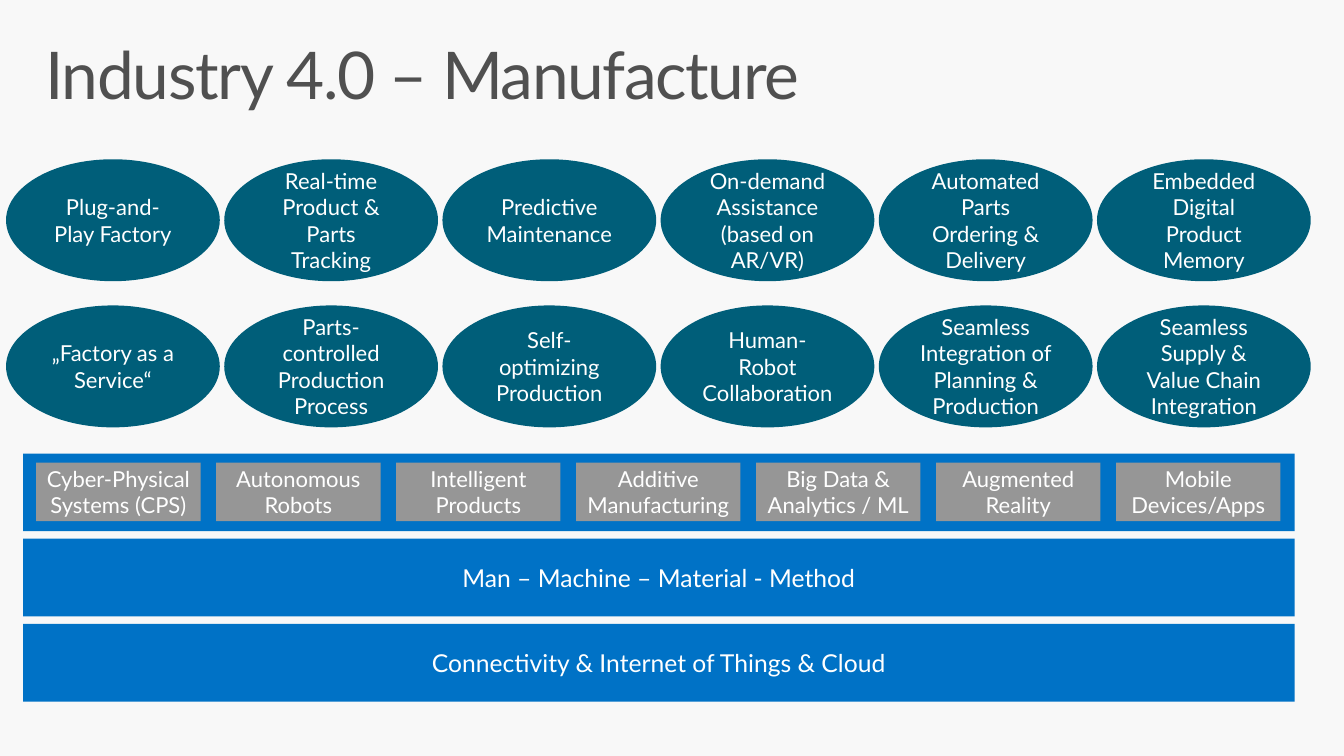
from dataclasses import dataclass

from pptx import Presentation
from pptx.dml.color import RGBColor
from pptx.enum.shapes import MSO_SHAPE as Preset
from pptx.enum.text import MSO_ANCHOR as Anchor, PP_ALIGN as Align
from pptx.util import Inches, Pt


@dataclass(frozen=True)
class Theme:
    """Colours, font and type sizes of the slide."""
    font: str = "Lato"
    background: str = "F8F8F8"
    heading: str = "505050"
    use_case: str = "005E79"
    layer: str = "0072C6"
    technology: str = "969696"
    label: str = "FFFFFF"
    heading_size: float = 47
    layer_size: float = 17.6
    label_size: float = 15.7


@dataclass(frozen=True)
class Box:
    """A rectangle in inches."""
    left: float
    top: float
    width: float
    height: float

    def lengths(self):
        """Return the four measures as slide lengths."""
        return [Inches(n) for n in (self.left, self.top, self.width, self.height)]

    def cell(self, column, columns, row, rows, width, height):
        """Return one cell of an evenly spread grid that fills this box."""
        across = (self.width - width) / max(columns - 1, 1)
        down = (self.height - height) / max(rows - 1, 1)
        return Box(self.left + column * across, self.top + row * down, width, height)


THEME = Theme()

USE_CASES = [
    ["Plug-and-Play Factory", "Real-time Product & Parts Tracking",
     "Predictive Maintenance", "On-demand Assistance (based on AR/VR)",
     "Automated Parts Ordering & Delivery", "Embedded Digital Product Memory"],
    ["„Factory as a Service“", "Parts-controlled Production Process",
     "Self-optimizing Production", "Human-Robot Collaboration",
     "Seamless Integration of Planning & Production",
     "Seamless Supply & Value Chain Integration"],
]
TECHNOLOGIES = [
    "Cyber-Physical Systems (CPS)", "Autonomous Robots", "Intelligent Products",
    "Additive Manufacturing", "Big Data & Analytics / ML", "Augmented Reality",
    "Mobile Devices/Apps",
]
LAYERS = ["", "Man – Machine – Material - Method",
          "Connectivity & Internet of Things & Cloud"]


def add_words(frame, words, size, color, side, end):
    """Write one run into a text frame and return its paragraph and run."""
    frame.word_wrap = True
    frame.margin_left = frame.margin_right = Inches(side)
    frame.margin_top = frame.margin_bottom = Inches(end)
    paragraph = frame.paragraphs[0]
    run = paragraph.add_run()
    run.text = words
    run.font.name = THEME.font
    run.font.size = Pt(size)
    run.font.color.rgb = RGBColor.from_string(color)
    return paragraph, run


def add_block(slide, preset, box, color, words, size):
    """Draw a filled shape with a centred label."""
    block = slide.shapes.add_shape(preset, *box.lengths())
    block.shadow.inherit = False
    block.fill.solid()
    block.fill.fore_color.rgb = RGBColor.from_string(color)
    block.line.fill.background()
    if words:
        frame = block.text_frame
        frame.vertical_anchor = Anchor.MIDDLE
        paragraph, _ = add_words(frame, words, size, THEME.label, 0.09, 0.1)
        paragraph.alignment = Align.CENTER


def add_heading(slide, box, words):
    """Write the slide heading."""
    frame = slide.shapes.add_textbox(*box.lengths()).text_frame
    paragraph, run = add_words(
        frame, words, THEME.heading_size, THEME.heading, 0.16, 0.1)
    paragraph.line_spacing = 0.9
    run.font._element.set("spc", "-100")


def add_layers(slide, box):
    """Stack the foundation layers."""
    for row, layer in enumerate(LAYERS):
        place = box.cell(0, 1, row, len(LAYERS), box.width, 0.77)
        add_block(slide, Preset.RECTANGLE, place, THEME.layer, layer, THEME.layer_size)


def add_technologies(slide, box):
    """Line up the technologies on the top layer."""
    for column, technology in enumerate(TECHNOLOGIES):
        place = box.cell(column, len(TECHNOLOGIES), 0, 1, 1.63, box.height)
        add_block(slide, Preset.RECTANGLE, place, THEME.technology, technology,
                  THEME.label_size)


def add_use_cases(slide, box):
    """Set out the use cases as a grid of ellipses."""
    for row, use_cases in enumerate(USE_CASES):
        for column, use_case in enumerate(use_cases):
            place = box.cell(column, len(use_cases), row, len(USE_CASES), 2.12, 1.21)
            add_block(slide, Preset.OVAL, place, THEME.use_case, use_case,
                      THEME.label_size)


def main():
    """Build and save the slide."""
    deck = Presentation()
    deck.slide_width, deck.slide_height = Inches(13.33), Inches(7.5)
    slide = deck.slides.add_slide(deck.slide_layouts[6])
    slide.background.fill.solid()
    slide.background.fill.fore_color.rgb = RGBColor.from_string(THEME.background)
    add_layers(slide, Box(0.23, 4.5, 12.61, 2.46))
    add_technologies(slide, Box(0.36, 4.59, 12.34, 0.58))
    add_use_cases(slide, Box(0.06, 1.58, 12.94, 2.66))
    add_heading(slide, Box(0.29, 0.32, 12.75, 0.98), "Industry 4.0 – Manufacture")
    deck.save("out.pptx")


if __name__ == "__main__":
    main()
